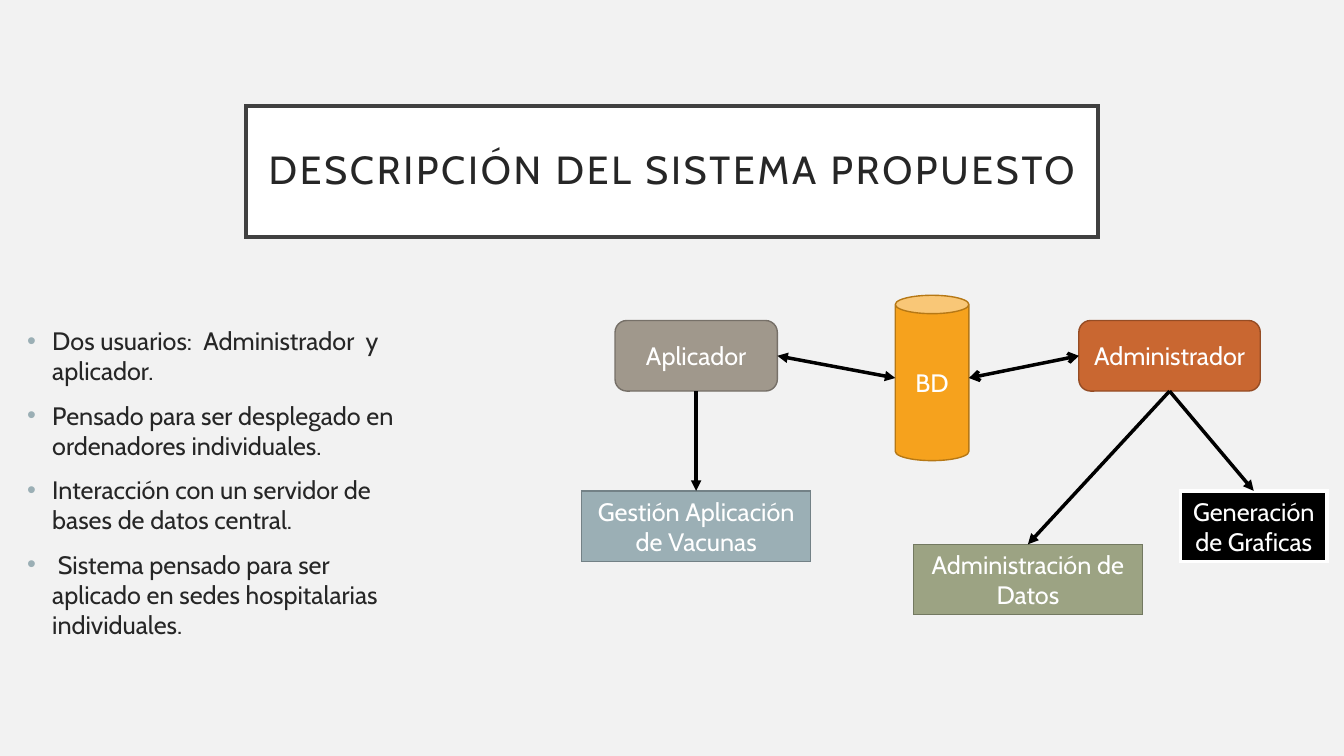
from dataclasses import dataclass

from lxml import etree
from pptx import Presentation
from pptx.dml.color import RGBColor
from pptx.enum.shapes import MSO_CONNECTOR, MSO_SHAPE
from pptx.enum.text import MSO_ANCHOR, PP_ALIGN
from pptx.oxml.ns import qn
from pptx.shapes.autoshape import Shape
from pptx.slide import Slide
from pptx.util import Inches, Pt

RECT = MSO_SHAPE.RECTANGLE
ROUND = MSO_SHAPE.ROUNDED_RECTANGLE
CAN = MSO_SHAPE.CAN
STRAIGHT = MSO_CONNECTOR.STRAIGHT
MIDDLE = MSO_ANCHOR.MIDDLE
CENTER = PP_ALIGN.CENTER
TOP, LEFT, BOTTOM, RIGHT = range(4)


@dataclass(frozen=True)
class Theme:
    font: str = "Cabin"
    background: str = "F2F2F2"
    ink: str = "262626"
    white: str = "FFFFFF"
    black: str = "000000"
    frame: str = "404040"
    bullet: str = "9BAFB5"
    title_size: float = 28
    body_size: float = 18
    thick: float = 2.5
    thin: float = 1


THEME = Theme()


@dataclass(frozen=True)
class Node:
    text: str
    kind: MSO_SHAPE
    left: float
    top: float
    width: float
    height: float
    fill: str
    line: str
    line_width: float = THEME.thin


@dataclass(frozen=True)
class Link:
    source: str
    source_side: int
    target: str
    target_side: int
    head: str = ""
    tail: str = "triangle"


TITLE = Node("DESCRIPCIÓN DEL SISTEMA PROPUESTO", RECT,
             2.44, 1.05, 8.45, 1.3, THEME.white, THEME.frame, THEME.thick)

NODES = {
    "bd": Node("BD", CAN, 8.88, 2.93, 0.73, 1.64, "F6A21D", "B67815"),
    "aplicador": Node("Aplicador", ROUND, 6.1, 3.18, 1.61, 0.7, "A0988C", "767068"),
    "administrador": Node("Administrador", ROUND, 10.7, 3.18, 1.8, 0.7, "C96731", "954C24"),
    "datos": Node("Administración de Datos", RECT, 9.06, 5.4, 2.27, 0.7, "9CA383", "737961"),
    "graficas": Node("Generación de Graficas", RECT, 11.71, 4.87, 1.45, 0.7,
                     THEME.black, THEME.white, THEME.thick),
    "vacunas": Node("Gestión Aplicación de Vacunas", RECT, 5.77, 4.87, 2.27, 0.7,
                    "9BAFB5", "738186"),
}

LINKS = [
    Link("bd", RIGHT, "administrador", LEFT, "arrow", "arrow"),
    Link("aplicador", RIGHT, "bd", LEFT, "triangle"),
    Link("administrador", BOTTOM, "datos", TOP),
    Link("administrador", BOTTOM, "graficas", TOP),
    Link("aplicador", BOTTOM, "vacunas", TOP),
]

BULLETS = [
    "Dos usuarios:  Administrador  y aplicador.",
    "Pensado para ser desplegado en ordenadores individuales.",
    "Interacción con un servidor de bases de datos central.",
    " Sistema pensado para ser aplicado en sedes hospitalarias individuales.",
]


def rgb(value: str) -> RGBColor:
    return RGBColor.from_string(value)


def add_run(p, text: str, size: float, color: str):
    r = p.add_run()
    r.text = text
    r.font.name = THEME.font
    r.font.size = Pt(size)
    r.font.color.rgb = rgb(color)
    return r


def add_node(s: Slide, node: Node, size: float = THEME.body_size,
             color: str = THEME.white) -> Shape:
    sp = s.shapes.add_shape(node.kind, Inches(node.left), Inches(node.top),
                            Inches(node.width), Inches(node.height))
    sp.shadow.inherit = False
    sp.fill.solid()
    sp.fill.fore_color.rgb = rgb(node.fill)
    sp.line.color.rgb = rgb(node.line)
    sp.line.width = Pt(node.line_width)
    etree.SubElement(sp.line._get_or_add_ln(), qn("a:miter"), lim="800000")
    tf = sp.text_frame
    tf.word_wrap = True
    tf.vertical_anchor = MIDDLE
    p = tf.paragraphs[0]
    p.alignment = CENTER
    add_run(p, node.text, size, color)
    return sp


def add_title(s: Slide) -> None:
    tf = add_node(s, TITLE, THEME.title_size, THEME.ink).text_frame
    tf.margin_left = tf.margin_right = tf.margin_top = tf.margin_bottom = Inches(0.2)
    p = tf.paragraphs[0]
    p.line_spacing = 0.9
    p.runs[0].font._element.set("spc", "200")


def add_bullets(s: Slide) -> None:
    tf = s.shapes.add_textbox(Inches(0.17), Inches(3.18), Inches(4.1), Inches(3.39)).text_frame
    tf.word_wrap = True
    for i, text in enumerate(BULLETS):
        p = tf.add_paragraph() if i else tf.paragraphs[0]
        p.space_before = Pt(10)
        pPr = p._p.get_or_add_pPr()
        pPr.set("marL", str(Inches(0.25)))
        pPr.set("indent", str(-Inches(0.25)))
        clr = etree.SubElement(pPr, qn("a:buClr"))
        etree.SubElement(clr, qn("a:srgbClr"), val=THEME.bullet)
        etree.SubElement(pPr, qn("a:buFont"), typeface="Arial")
        etree.SubElement(pPr, qn("a:buChar"), char="•")
        add_run(p, text, THEME.body_size, THEME.ink)


def side_point(sp: Shape, side: int) -> tuple[int, int]:
    across, down = {TOP: (1, 0), LEFT: (0, 1), BOTTOM: (1, 2), RIGHT: (2, 1)}[side]
    return sp.left + sp.width * across // 2, sp.top + sp.height * down // 2


def add_link(s: Slide, link: Link, shapes: dict[str, Shape]) -> None:
    source, target = shapes[link.source], shapes[link.target]
    cxn = s.shapes.add_connector(STRAIGHT, *side_point(source, link.source_side),
                                 *side_point(target, link.target_side))
    if source.auto_shape_type != CAN:
        cxn.begin_connect(source, link.source_side)
    if target.auto_shape_type != CAN:
        cxn.end_connect(target, link.target_side)
    cxn.line.color.rgb = rgb(THEME.black)
    cxn.line.width = Pt(THEME.thick)
    ln = cxn.line._get_or_add_ln()
    for tag, kind in (("a:headEnd", link.head), ("a:tailEnd", link.tail)):
        if kind:
            etree.SubElement(ln, qn(tag), type=kind)
    etree.SubElement(cxn._element.spPr, qn("a:effectLst"))


def main() -> None:
    prs = Presentation()
    prs.slide_width, prs.slide_height = Inches(13.33), Inches(7.5)
    s = prs.slides.add_slide(prs.slide_layouts[6])
    s.background.fill.solid()
    s.background.fill.fore_color.rgb = rgb(THEME.background)
    add_title(s)
    add_bullets(s)
    shapes = {key: add_node(s, node) for key, node in NODES.items()}
    for link in LINKS:
        add_link(s, link, shapes)
    prs.save("out.pptx")


if __name__ == "__main__":
    main()
